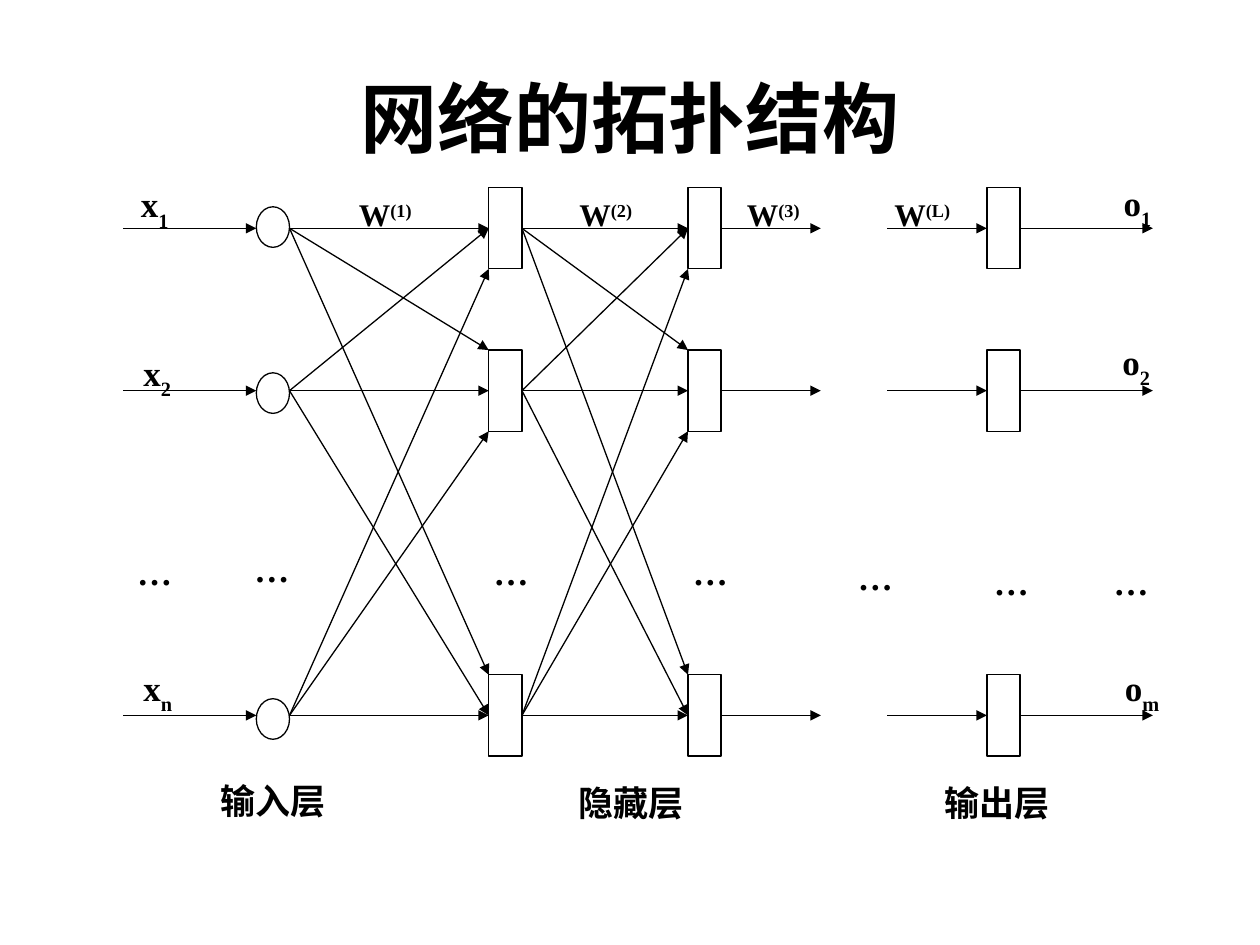
from dataclasses import dataclass

from lxml.etree import SubElement
from pptx import Presentation
from pptx.dml.color import RGBColor
from pptx.enum.shapes import MSO_CONNECTOR, MSO_SHAPE
from pptx.enum.text import MSO_ANCHOR, MSO_AUTO_SIZE, PP_ALIGN
from pptx.oxml.ns import qn
from pptx.util import Inches, Pt

COLORS = {"ink": "000000", "paper": "FFFFFF"}
FONT = "Times New Roman"
LEFT, RIGHT, COLS = 0.98, 9.15, 31
TOP, BOTTOM, ROWS = 1.49, 6.0, 14
COL = (RIGHT - LEFT) / COLS
ROW = (BOTTOM - TOP) / ROWS
CENTERS = (1, 5, 13)


@dataclass(frozen=True)
class Layer:
    col: int
    shape: MSO_SHAPE
    tops: tuple[float, ...]
    height: int


@dataclass(frozen=True)
class Link:
    start: int
    end: int
    full: bool = False


@dataclass(frozen=True)
class Label:
    left: float
    top: float
    width: float
    height: float
    text: str
    script: str = ""
    size: int = 20
    baseline: int = -30


BOX_TOPS = (0, 4, 12)
LAYERS = (
    Layer(4, MSO_SHAPE.OVAL, (0.47, 4.56, 12.59), 1),
    Layer(11, MSO_SHAPE.RECTANGLE, BOX_TOPS, 2),
    Layer(17, MSO_SHAPE.RECTANGLE, BOX_TOPS, 2),
    Layer(26, MSO_SHAPE.RECTANGLE, BOX_TOPS, 2),
)
LINKS = (
    Link(0, 4),
    Link(5, 11, full=True),
    Link(12, 17, full=True),
    Link(18, 21),
    Link(23, 26),
    Link(27, 31),
)
SIGNALS = (
    Label(1.02, 1.4, 0.44, 0.5, "x", "1"),
    Label(1.04, 2.74, 0.44, 0.5, "x", "2"),
    Label(1.04, 5.24, 0.45, 0.5, "x", "n"),
    Label(8.82, 1.39, 0.44, 0.5, "o", "1"),
    Label(8.81, 2.65, 0.44, 0.5, "o", "2"),
    Label(8.83, 5.24, 0.51, 0.5, "o", "m"),
)
LAYER_NAMES = (
    Label(1.65, 6.14, 1.07, 0.44, "输入层"),
    Label(4.49, 6.15, 1.07, 0.44, "隐藏层"),
    Label(7.4, 6.15, 1.07, 0.44, "输出层"),
)
ELLIPSES = tuple(
    Label(left, top, 0.48, 0.44, "…")
    for left, top in (
        (0.99, 4.32), (1.92, 4.3), (3.82, 4.32), (5.4, 4.32),
        (6.71, 4.36), (7.79, 4.4), (8.74, 4.4),
    )
)
WEIGHTS = tuple(
    Label(left, 1.5, width, 0.4, "W", f"({index})", 18, 30)
    for left, width, index in (
        (2.75, 0.67, "1"), (4.5, 0.67, "2"), (5.83, 0.83, "3"), (7, 0.67, "L"),
    )
)


def color(name: str) -> RGBColor:
    return RGBColor.from_string(COLORS[name])


def x(col: float) -> int:
    return Inches(LEFT + col * COL)


def y(row: float) -> int:
    return Inches(TOP + row * ROW)


def add_run(p, text: str, size: int, baseline: int = 0) -> None:
    r = p.add_run()
    r.text = text
    r.font.name = FONT
    r.font.size = Pt(size)
    r.font.bold = True
    r.font.color.rgb = color("ink")
    if baseline:
        r.font._element.set("baseline", str(baseline * 1000))


def add_title(s, text: str) -> None:
    sp = s.shapes.add_textbox(Inches(0.5), Inches(0.3), Inches(9), Inches(1.25))
    tf = sp.text_frame
    tf.word_wrap = True
    tf.vertical_anchor = MSO_ANCHOR.MIDDLE
    p = tf.paragraphs[0]
    p.alignment = PP_ALIGN.CENTER
    add_run(p, text, 44)


def add_label(s, label: Label, wrap: bool = False) -> None:
    sp = s.shapes.add_textbox(
        Inches(label.left), Inches(label.top), Inches(label.width), Inches(label.height)
    )
    tf = sp.text_frame
    tf.word_wrap = wrap
    tf.auto_size = MSO_AUTO_SIZE.SHAPE_TO_FIT_TEXT
    p = tf.paragraphs[0]
    p.alignment = PP_ALIGN.LEFT
    add_run(p, label.text, label.size)
    if label.script:
        add_run(p, label.script, label.size, label.baseline)


def add_layer(s, layer: Layer) -> None:
    for top in layer.tops:
        sp = s.shapes.add_shape(
            layer.shape, x(layer.col), y(top), Inches(COL), Inches(layer.height * ROW)
        )
        sp.shadow.inherit = False
        sp.fill.solid()
        sp.fill.fore_color.rgb = color("paper")
        sp.line.color.rgb = color("ink")
        sp.line.width = Pt(0.75)


def add_arrow(s, start: int, start_row: float, end: int, end_row: float) -> None:
    cxn = s.shapes.add_connector(
        MSO_CONNECTOR.STRAIGHT, x(start), y(start_row), x(end), y(end_row)
    )
    cxn.line.color.rgb = color("ink")
    cxn.line.width = Pt(0.75)
    properties = cxn._element.spPr
    SubElement(properties.find(qn("a:ln")), qn("a:tailEnd"), type="triangle")
    SubElement(properties, qn("a:effectLst"))


def add_link(s, link: Link) -> None:
    for i, source in enumerate(CENTERS):
        for j, target in enumerate(CENTERS):
            if i == j:
                add_arrow(s, link.start, source, link.end, target)
            elif link.full:
                add_arrow(s, link.start, source, link.end, target + i - 1)


def main() -> None:
    prs = Presentation()
    prs.slide_width, prs.slide_height = Inches(10), Inches(7.5)
    s = prs.slides.add_slide(prs.slide_layouts[6])
    add_title(s, "网络的拓扑结构")
    for layer in LAYERS:
        add_layer(s, layer)
    for link in LINKS:
        add_link(s, link)
    for label in SIGNALS + LAYER_NAMES + ELLIPSES:
        add_label(s, label)
    for label in WEIGHTS:
        add_label(s, label, wrap=True)
    prs.save("out.pptx")


if __name__ == "__main__":
    main()
